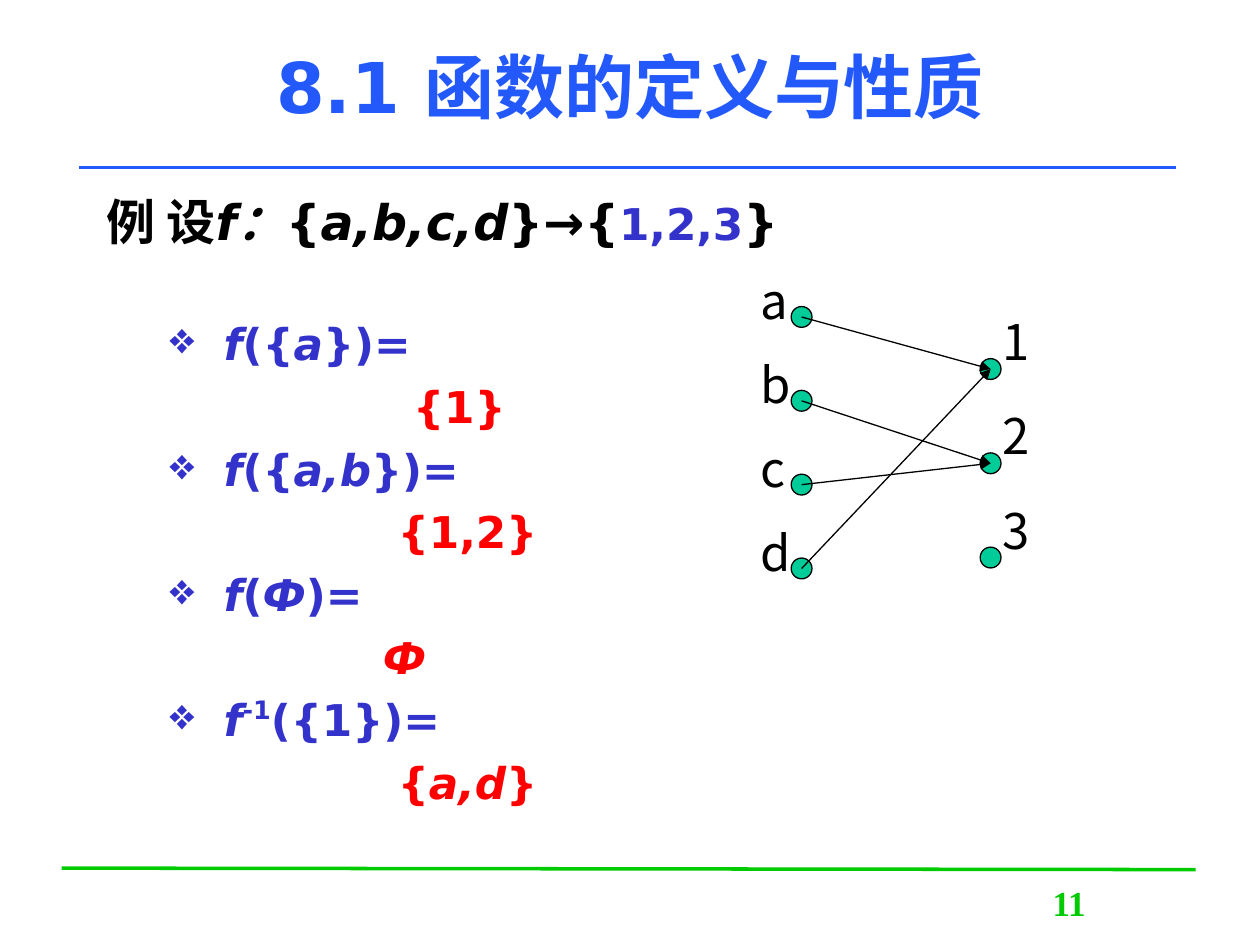
from pptx import Presentation
from pptx import util as u
from pptx.dml.color import RGBColor
from pptx.enum import shapes, text
from pptx.oxml import ns
from lxml import etree

BLUE = RGBColor(0x23, 0x59, 0xFB)
GREEN = RGBColor(0x00, 0xCB, 0x00)
INDIGO = RGBColor(0x33, 0x33, 0xCC)
RED = RGBColor(0xFF, 0x00, 0x00)
TEAL = RGBColor(0x00, 0xCC, 0x99)
BLACK = RGBColor(0, 0, 0)
SANS, SERIF, CJK = "DejaVu Sans", "Times New Roman", "Noto Sans CJK SC"
Cm, Pt = u.Cm, u.Pt


def style(run, size, tint, face=SANS, bold=True, slant=False):
    font = run.font
    font.name, font.size = face, Pt(size)
    font.bold, font.italic = bold, slant
    font.color.rgb = tint


def add(par, parts, size, tint, raised=False):
    # Parts split by "|" alternate between upright and italic.
    for i, part in enumerate(parts.split("|")):
        if part:
            run = par.add_run()
            run.text = part
            style(run, size, tint, slant=i % 2 == 1)
            if raised:
                run._r.get_or_add_rPr().set("baseline", "40000")


def indent(par, left, first, mark=None):
    props = par._p.get_or_add_pPr()
    props.set("marL", str(Cm(left)))
    props.set("indent", str(Cm(first)))
    if mark:
        tint = etree.SubElement(props, ns.qn("a:buClr"))
        etree.SubElement(tint, ns.qn("a:srgbClr")).set("val", str(INDIGO))
        etree.SubElement(props, ns.qn("a:buChar")).set("char", mark)


def line(slide, start, end, tint, width, arrow=False):
    link = slide.shapes.add_connector(
        shapes.MSO_CONNECTOR.STRAIGHT, *(Cm(v) for v in start + end))
    link.line.color.rgb = tint
    link.line.width = Pt(width)
    if arrow:
        edge = link.line._get_or_add_ln()
        etree.SubElement(edge, ns.qn("a:tailEnd")).set("type", "triangle")
    etree.SubElement(link._element.spPr, ns.qn("a:effectLst"))


def box(slide, x, y, w, h, wrap=True):
    frame = slide.shapes.add_textbox(Cm(x), Cm(y), Cm(w), Cm(h)).text_frame
    frame.word_wrap = wrap
    return frame


def header(slide, x, y, w, h):
    title = slide.shapes.title
    title.left, title.top, title.width, title.height = map(Cm, (x, y, w, h))
    frame = title.text_frame
    frame.text = "8.1 函数的定义与性质"
    frame.auto_size = text.MSO_AUTO_SIZE.NONE
    frame.vertical_anchor = text.MSO_ANCHOR.MIDDLE
    par = frame.paragraphs[0]
    par.alignment = text.PP_ALIGN.CENTER
    style(par.runs[0], 40, BLUE)
    line(slide, (x - 0.3, y + 3.25), (x + w + 0.2, y + 3.25), BLUE, 2)


def footer(slide, x, y, w):
    line(slide, (x, y), (x + w, y + 0.03), GREEN, 2)
    par = box(slide, x + 18.31, y + 0.15, 4.01, 1.27).paragraphs[0]
    par.text = "11"
    par.alignment = text.PP_ALIGN.CENTER
    style(par.runs[0], 20, GREEN, SERIF)


def example(slide, x, y, w, h):
    frame = box(slide, x, y, w, h)
    par = frame.paragraphs[0]
    add(par, "例 设|f：|{|a,b,c,d|}|→|{", 28, BLACK)
    add(par, "1,2,3", 25, INDIGO)
    add(par, "}", 28, BLACK)
    items = (
        ("", "({|a|})|=", "{1}", 6.18),
        ("", "({|a,b|})|=", "{1,2}", 5.87),
        ("", "(|Ф|)|=", "|Ф", 5.57),
        ("-1", "({1})|=", "{|a,d|}", 5.87),
    )
    for i, (power, arg, answer, left) in enumerate(items):
        par = frame.add_paragraph()
        indent(par, 2.36, -1.09, "❖")
        par.space_before = Pt(5.8 if i else 38.4)
        add(par, "|f", 25, INDIGO)
        add(par, power, 25, INDIGO, raised=True)
        add(par, arg, 25, INDIGO)
        par = frame.add_paragraph()
        indent(par, left, 0)
        par.space_before = Pt(5.8)
        add(par, answer, 25, RED)


def diagram(slide, x, y):
    size = 0.42
    sides = (
        ("abcd", x + 0.86, y + 0.85, 1.69, -0.86, -0.85),
        ("123", x + 4.67, y + 1.9, 1.9, 0.2, -1.07),
    )
    spots = {}
    for names, left, top, step, dx, dy in sides:
        for i, name in enumerate(names):
            spots[name] = (left, top + i * step, dx, dy)
    for left, top, dx, dy in spots.values():
        dot = slide.shapes.add_shape(
            shapes.MSO_SHAPE.OVAL, Cm(left), Cm(top), Cm(size), Cm(size))
        dot.shadow.inherit = False
        dot.fill.solid()
        dot.fill.fore_color.rgb = TEAL
        dot.line.color.rgb = BLACK
        dot.line.width = Pt(0.75)
    for pair in ("a1", "d1", "b2", "c2"):
        start, end = (tuple(v + size / 2 for v in spots[k][:2]) for k in pair)
        line(slide, start, end, BLACK, 0.75, arrow=True)
    for name, (left, top, dx, dy) in spots.items():
        par = box(slide, left + dx, top + dy, 1.02, 1.45, False).paragraphs[0]
        par.text = name
        style(par.runs[0], 28, BLACK, CJK, bold=False)


def main():
    deck = Presentation()
    deck.slide_width, deck.slide_height = Cm(25.4), Cm(19.05)
    slide = deck.slides.add_slide(deck.slide_layouts[5])
    footer(slide, 1.24, 17.5, 22.86)
    header(slide, 1.9, 0.13, 21.6, 3.17)
    example(slide, 1.9, 3.73, 21.6, 13.59)
    diagram(slide, 15.09, 5.33)
    deck.save("out.pptx")


if __name__ == "__main__":
    main()
